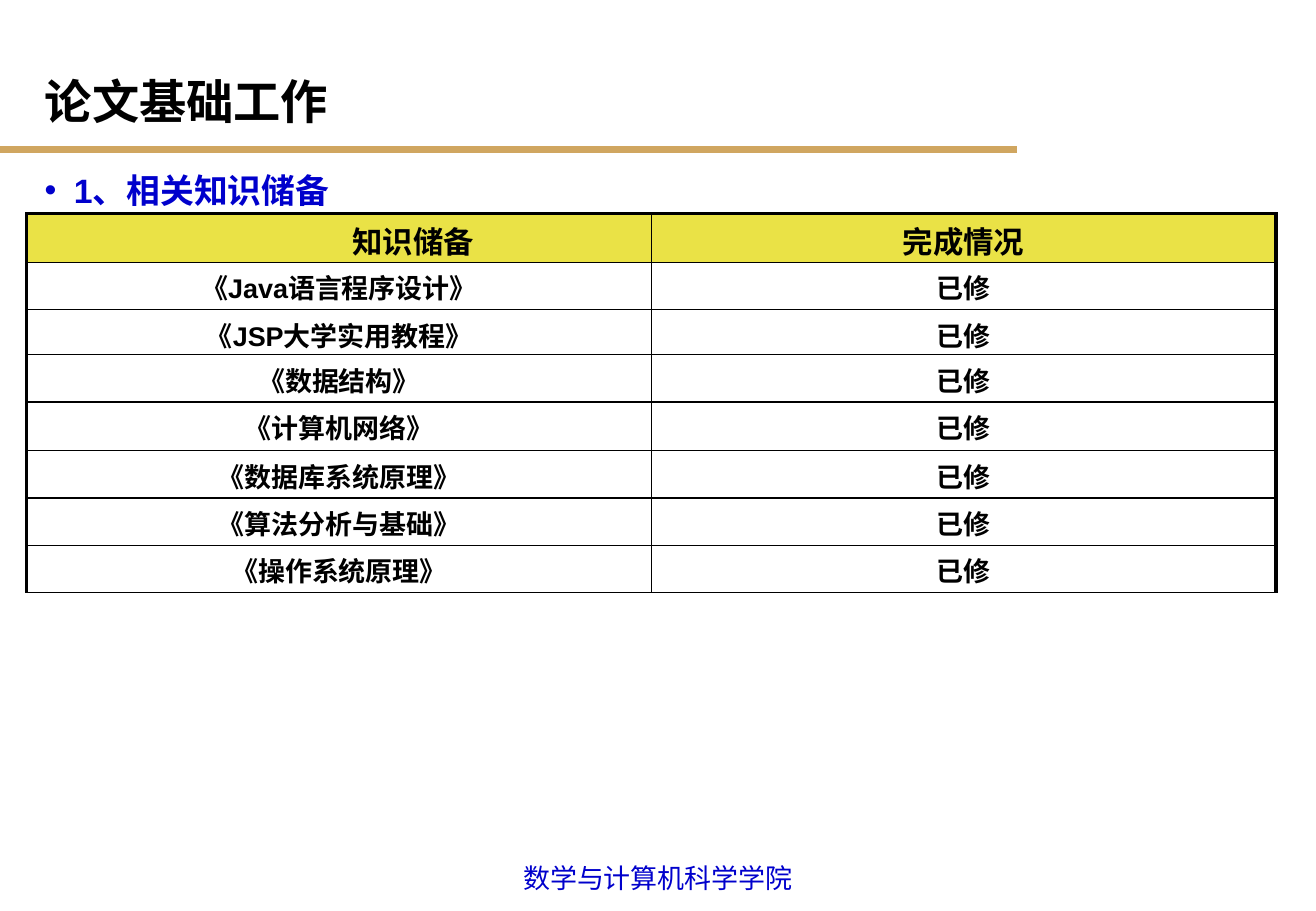
"""Build the slide on the groundwork for the thesis."""
import dataclasses

import lxml.etree
import pptx
import pptx.dml.color
import pptx.enum.shapes
import pptx.enum.text
import pptx.oxml.ns
import pptx.util

Inches = pptx.util.Inches
Points = pptx.util.Pt
Align = pptx.enum.text.PP_ALIGN
Anchor = pptx.enum.text.MSO_ANCHOR

BLACK = "000000"
BLUE = "0000CC"
GOLD = "D0A660"
YELLOW = "EAE246"
THIN, THICK = 1, 2.25
COURSES = [
    "《Java语言程序设计》",
    "《JSP大学实用教程》",
    "《数据结构》",
    "《计算机网络》",
    "《数据库系统原理》",
    "《算法分析与基础》",
    "《操作系统原理》",
]
ROWS = [("知识储备", "完成情况")] + [(course, "已修") for course in COURSES]
ROW_HEIGHTS = [0.4, 0.39, 0.37, 0.39, 0.4, 0.39, 0.39, 0.39]
COLUMN_WIDTH = 5.14
HEADING_INDENT = 1.32


@dataclasses.dataclass(frozen=True)
class TextStyle:
    """Size, colour, weight, font and alignment of a text."""

    size: float
    color: str = BLACK
    bold: bool = True
    font: str = "Arial"
    align: Align = Align.CENTER


TITLE = TextStyle(28, align=Align.LEFT)
SECTION = TextStyle(20, BLUE, align=Align.LEFT)
FOOTER = TextStyle(16, BLUE, bold=False, font="Noto Sans CJK SC")
HEADING = TextStyle(18)
BODY = TextStyle(16)


def rgb(color: str) -> pptx.dml.color.RGBColor:
    """Turn a hex string into a colour."""
    return pptx.dml.color.RGBColor.from_string(color)


def add_element(parent, tag: str, **attributes: str):
    """Append a DrawingML element to a parent."""
    return lxml.etree.SubElement(parent, pptx.oxml.ns.qn(tag), attributes)


def write(text_frame, text: str, style: TextStyle):
    """Write one styled run and return its paragraph."""
    paragraph = text_frame.paragraphs[0]
    paragraph.alignment = style.align
    run = paragraph.add_run()
    run.text = text
    run.font.size = Points(style.size)
    run.font.bold = style.bold
    run.font.name = style.font
    run.font.color.rgb = rgb(style.color)
    add_element(run.font._element, "a:ea", typeface=style.font)
    return paragraph


def place(shape, left: float, top: float, width: float, height: float) -> None:
    """Set the position and size of a shape in inches."""
    shape.left, shape.top = Inches(left), Inches(top)
    shape.width, shape.height = Inches(width), Inches(height)


def add_title(slide, text: str) -> None:
    """Fill and place the title placeholder."""
    title = slide.shapes.title
    place(title, 0.27, 0.53, 5.01, 0.58)
    title.text_frame.auto_size = pptx.enum.text.MSO_AUTO_SIZE.NONE
    title.text_frame.vertical_anchor = Anchor.BOTTOM
    write(title.text_frame, text, TITLE)


def add_title_rule(slide) -> None:
    """Draw the gold line below the title."""
    rule = slide.shapes.add_connector(
        pptx.enum.shapes.MSO_CONNECTOR.STRAIGHT,
        Inches(0), Inches(1.23), Inches(8.37), Inches(1.23),
    )
    rule.line.color.rgb = rgb(GOLD)
    rule.line.width = Points(4.5)
    add_element(rule._element.spPr, "a:effectLst")


def add_text_box(slide, left: float, top: float, width: float, height: float):
    """Add a wrapping text box and return its text frame."""
    box = slide.shapes.add_textbox(
        Inches(left), Inches(top), Inches(width), Inches(height)
    )
    box.text_frame.word_wrap = True
    return box.text_frame


def add_section(slide, text: str) -> None:
    """Add the bulleted section heading."""
    paragraph = write(add_text_box(slide, 0.27, 1.35, 4.2, 0.43), text, SECTION)
    properties = paragraph._p.get_or_add_pPr()
    properties.set("marL", str(Inches(0.24)))
    properties.set("indent", str(Inches(-0.24)))
    add_element(properties, "a:buFont", typeface="Arial")
    add_element(properties, "a:buChar", char="•")


def add_footer(slide, text: str) -> None:
    """Add the school name at the bottom."""
    frame = add_text_box(slide, 0, 7.05, 10.83, 0.31)
    frame.margin_left = frame.margin_right = 0
    frame.margin_top = frame.margin_bottom = 0
    frame.vertical_anchor = Anchor.BOTTOM
    write(frame, text, FOOTER)


def set_borders(cell, widths: dict[str, float]) -> None:
    """Put black borders of the given widths before the cell fill."""
    properties = cell._tc.get_or_add_tcPr()
    for index, (side, width) in enumerate(widths.items()):
        border = add_element(properties, f"a:ln{side}", w=str(Points(width)))
        fill = add_element(border, "a:solidFill")
        add_element(fill, "a:srgbClr", val=BLACK)
        properties.insert(index, border)


def add_course_table(slide) -> None:
    """Add the table of courses and their completion."""
    column_count = len(ROWS[0])
    table = slide.shapes.add_table(
        len(ROWS), column_count, Inches(0.22), Inches(1.76),
        Inches(COLUMN_WIDTH * column_count), Inches(sum(ROW_HEIGHTS)),
    ).table
    for column in table.columns:
        column.width = Inches(COLUMN_WIDTH)
    for row_index, (texts, height) in enumerate(zip(ROWS, ROW_HEIGHTS)):
        table.rows[row_index].height = Inches(height)
        is_heading = row_index == 0
        for column_index, text in enumerate(texts):
            cell = table.cell(row_index, column_index)
            is_first = column_index == 0
            cell.margin_top, cell.margin_bottom = Inches(0.1), Inches(0)
            if is_heading and is_first:
                cell.margin_left = Inches(HEADING_INDENT)
            if is_heading:
                cell.fill.solid()
                cell.fill.fore_color.rgb = rgb(YELLOW)
            else:
                cell.fill.background()
            set_borders(cell, {
                "L": THICK if is_first else THIN,
                "R": THICK if column_index == column_count - 1 else THIN,
                "T": THICK if is_heading else THIN,
                "B": THIN,
            })
            write(cell.text_frame, text, HEADING if is_heading else BODY)


def main() -> None:
    """Build and save the presentation."""
    presentation = pptx.Presentation()
    presentation.slide_width = Inches(10.83)
    presentation.slide_height = Inches(7.5)
    slide = presentation.slides.add_slide(presentation.slide_layouts[5])
    add_footer(slide, "数学与计算机科学学院")
    add_title_rule(slide)
    add_title(slide, "论文基础工作")
    add_section(slide, "1、相关知识储备")
    add_course_table(slide)
    presentation.save("out.pptx")


main()
